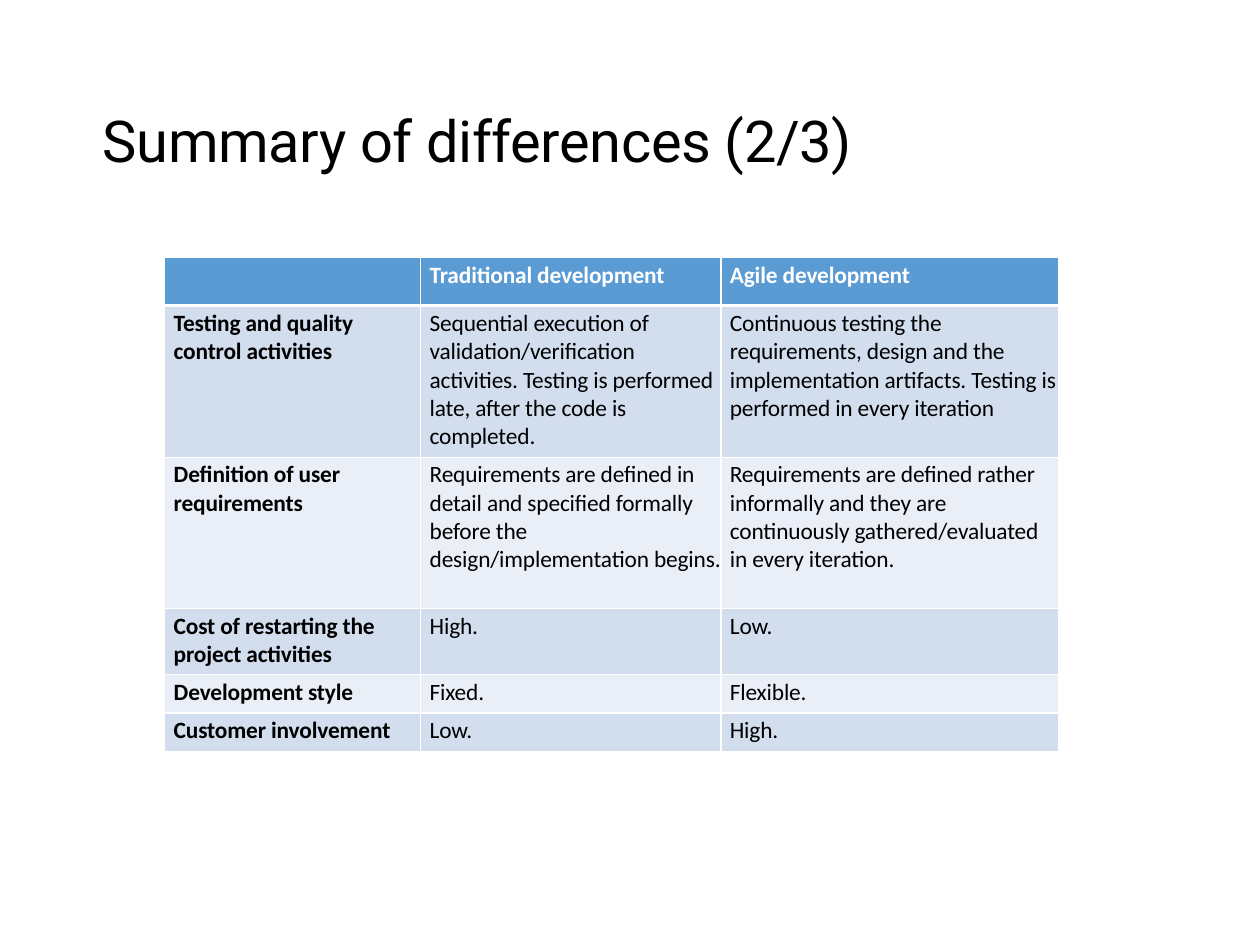
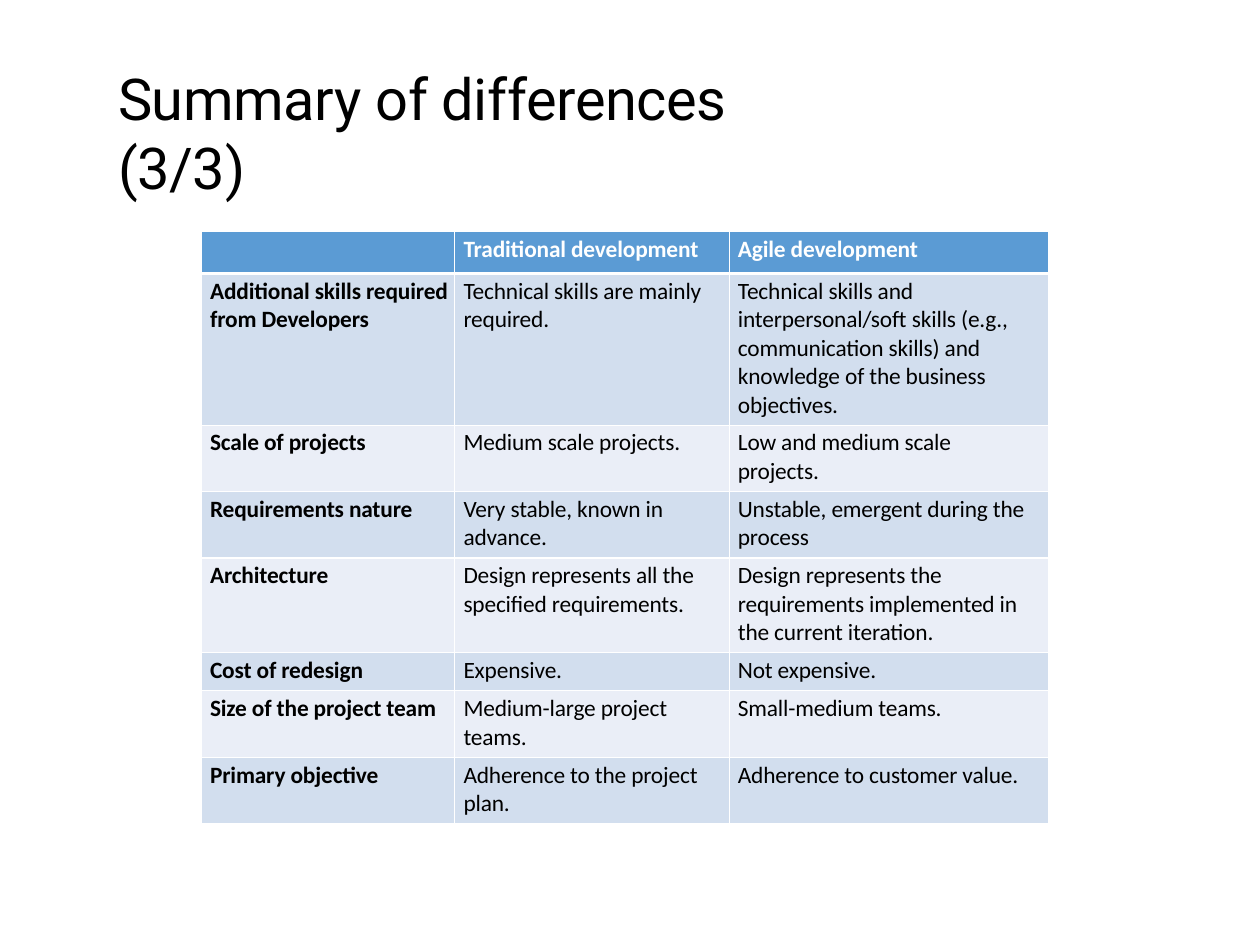
from pptx import Presentation
from pptx.dml.color import RGBColor
from pptx.enum import text
from pptx.oxml import parse_xml
from pptx.oxml.ns import nsdecls
from pptx.util import Pt

# Shared look
BLACK = RGBColor(0, 0, 0)
WHITE = RGBColor(255, 255, 255)
BLUE = RGBColor(0x5B, 0x9B, 0xD4)
BANDS = [RGBColor(0xD2, 0xDE, 0xEE), RGBColor(0xEA, 0xEE, 0xF7)]
HEADS = ["", "Traditional development", "Agile development"]
LINE, PAD = 23, 8  # height of a text line, and of the space around it in a row


def style(par, font, size, color, bold=False, track=0):
    for run in par.runs:
        face = run.font
        face.name, face.size, face.bold = font, Pt(size), bold
        face.color.rgb = color
        run._r.get_or_add_rPr().set("spc", str(track))


def title(slide, words, box, indent):
    shape = slide.shapes.add_textbox(*map(Pt, box))
    frame = shape.text_frame
    frame.word_wrap = True
    frame.auto_size = text.MSO_AUTO_SIZE.SHAPE_TO_FIT_TEXT
    frame.vertical_anchor = text.MSO_ANCHOR.MIDDLE
    frame.margin_left, frame.margin_top = Pt(indent), Pt(13)
    frame.margin_right = frame.margin_bottom = 0
    frame.text = words
    par = frame.paragraphs[0]
    par.space_before = Pt(1.1)
    style(par, "Roboto", 46.9, BLACK, track=-30)


def border(cell, sides):
    props = cell._tc.get_or_add_tcPr()
    for spot, (side, width) in enumerate(sides.items()):
        props.insert(spot, parse_xml(
            f'<a:ln{side} {nsdecls("a")} w="{Pt(width)}"><a:solidFill>'
            f'<a:srgbClr val="{WHITE}"/></a:solidFill></a:ln{side}>'))


def fill(cell, words, row, col):
    head = row == 0
    cell.fill.solid()
    cell.fill.fore_color.rgb = BLUE if head else BANDS[(row - 1) % 2]
    # A thick rule parts the header from the body
    border(cell, {"L": 1, "R": 1, "T": 3 if row == 1 else 1,
                  "B": 3 if head else 1})
    cell.margin_left, cell.margin_top = Pt(7.2), Pt(3)
    cell.margin_right = cell.margin_bottom = 0
    cell.text_frame.text = words
    for spot, par in enumerate(cell.text_frame.paragraphs):
        par.space_before = Pt(0 if spot else 2.5)
        style(par, "Calibri", 19, WHITE if head else BLACK,
              bold=head or col == 0, track=-10)


def grid(slide, left, top, widths, first, rows):
    """Each row holds its number of text lines, then its three cells."""
    highs = [first] + [PAD + LINE * row[0] for row in rows]
    cells = [HEADS] + [row[1:] for row in rows]
    table = slide.shapes.add_table(
        len(cells), len(widths), Pt(left), Pt(top),
        Pt(sum(widths)), Pt(sum(highs))).table
    table.first_row = table.horz_banding = False
    for col, width in enumerate(widths):
        table.columns[col].width = Pt(width)
    for row, high in enumerate(highs):
        table.rows[row].height = Pt(high)
        for col, words in enumerate(cells[row]):
            fill(table.cell(row, col), words, row, col)


WORK = [
    (5, "Testing and quality\ncontrol activities",
     "Sequential execution of validation/verification activities. "
     "Testing is performed late, after the code is completed.",
     "Continuous testing the requirements, design and the implementation "
     "artifacts. Testing is performed in every iteration"),
    (5, "Definition of user requirements",
     "Requirements are defined in detail and specified formally before the "
     "design/implementation begins.",
     "Requirements are defined rather informally and they are continuously "
     "gathered/evaluated in every iteration."),
    (2, "Cost of restarting the project activities", "High.", "Low."),
    (1, "Development style", "Fixed.", "Flexible."),
    (1, "Customer involvement", "Low.", "High."),
]
SCOPE = [
    (5, "Additional skills required from Developers",
     "Technical skills are mainly\nrequired.",
     "Technical skills and interpersonal/soft skills (e.g., communication "
     "skills) and knowledge of the business objectives."),
    (2, "Scale of projects", "Medium scale projects.",
     "Low and medium scale\nprojects."),
    (2, "Requirements nature", "Very stable, known in advance.",
     "Unstable, emergent during the process"),
    (3, "Architecture", "Design represents all the specified requirements.",
     "Design represents the requirements implemented in the current "
     "iteration."),
    (1, "Cost of redesign", "Expensive.", "Not expensive."),
    (2, "Size of the project team", "Medium-large project teams.",
     "Small-medium teams."),
    (2, "Primary objective", "Adherence to the project plan.",
     "Adherence to customer value."),
]


def main():
    deck = Presentation()
    deck.slide_width, deck.slide_height = Pt(1024), Pt(768)
    blank = deck.slide_layouts[6]

    # Work practices
    slide = deck.slides.add_slide(blank)
    title(slide, "Summary of differences (2/3)", (82, 72, 676, 70), 1.5)
    grid(slide, 134, 209.5, [208, 244, 274], 39, WORK)

    # Skills and scope
    slide = deck.slides.add_slide(blank)
    title(slide, "Summary of differences (3/3)", (84, 65.5, 602, 70), 12)
    grid(slide, 163.5, 188, [206, 223, 260], 34.5, SCOPE)

    deck.save("out.pptx")


if __name__ == "__main__":
    main()
